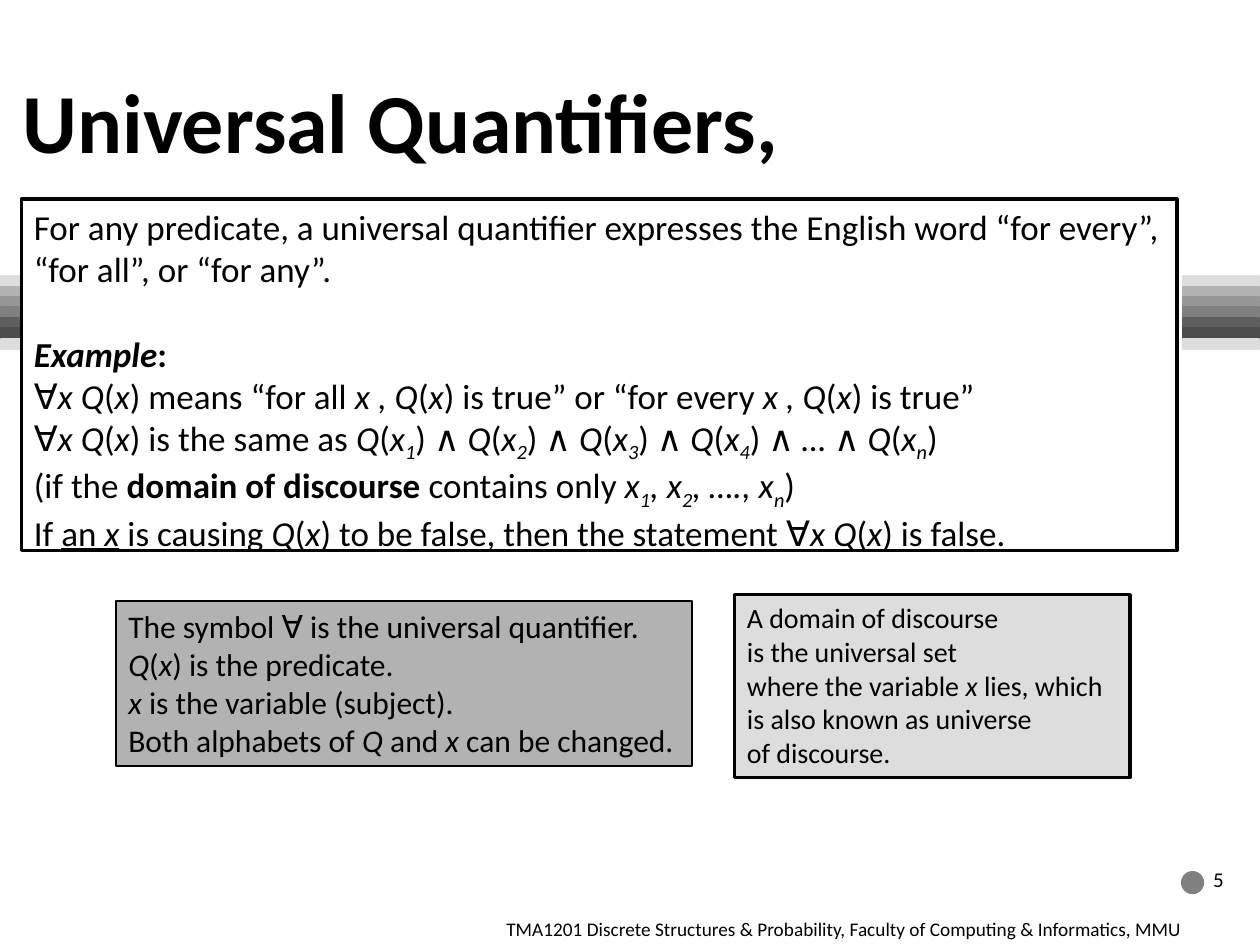
from dataclasses import dataclass

from pptx import Presentation, util as u
from pptx.dml.color import RGBColor
from pptx.enum import shapes, text

COLS, ROWS = 100, 75  # grid over the slide
WIDE, HIGH = u.Inches(10), u.Inches(7.5)


@dataclass(frozen=True)
class Theme:
    font: str = "Calibri"
    ink: str = "000000"
    pale: str = "DDDDDD"
    mid: str = "B2B2B2"
    dot: str = "808080"
    bands: tuple = ("DDDDDD", "B2B2B2", "969696", "808080",
                    "5F5F5F", "4D4D4D", "DDDDDD")
    title: int = 48
    main: int = 20
    note: int = 18
    side: int = 16
    page: int = 12
    foot: int = 11


LOOK = Theme()

# Marks: / italic, ^ bold, _ subscript, | underline
MAIN = [
    "For any predicate, a universal quantifier expresses the English word "
    "“for every”, “for all”, or “for any”.",
    "^/Example/:^",
    "∀/x Q/(/x/) means “for all /x , Q/(/x/) is true” or "
    "“for every /x , Q/(/x/) is true”",
    "∀/x Q/(/x/) is the same as "
    + "".join(f"/Q/(/x_{n}_/) ∧ " for n in range(1, 5))
    + "/… /∧/ Q/(/x_n_/)",
    "(if the ^domain of discourse ^contains only /x_1_, x_2_, …., x_n_/)",
    "If |an /x|/ is causing /Q/(/x/) to be false, then the statement "
    "∀/x Q/(/x/) is false.",
]
SIDE = [
    "A domain of discourse",
    "is the universal set",
    "where the variable /x/ lies, which",
    "is also known as universe",
    "of discourse.",
]
NOTE = [
    "The symbol ∀ is the universal quantifier.",
    "/Q/(/x/) is the predicate.",
    "/x/ is the variable (subject).",
    "Both alphabets of/ Q /and/ x /can be changed.",
]
FOOT = ["TMA1201 Discrete Structures & Probability, "
        "Faculty of Computing & Informatics, MMU"]


def spot(col, row, cols, rows):
    """Turn grid cells into left, top, width and height."""
    return (int(WIDE * col / COLS), int(HIGH * row / ROWS),
            int(WIDE * cols / COLS), int(HIGH * rows / ROWS))


def shade(hue):
    return RGBColor.from_string(hue)


def put(item, **vals):
    for name, val in vals.items():
        setattr(item, name, val)


def split(line):
    """Yield each piece of a marked line with its font values."""
    marks = {"/": "italic", "^": "bold", "_": "sub", "|": "underline"}
    state, piece = dict.fromkeys(marks.values(), False), ""
    for char in line:
        if char not in marks:
            piece += char
            continue
        if piece:
            yield piece, dict(state)
        piece = ""
        state[marks[char]] = not state[marks[char]]
    if piece:
        yield piece, state


def write(frame, lines, size, anchor=text.MSO_ANCHOR.TOP, wrap=True):
    put(frame, word_wrap=wrap, vertical_anchor=anchor,
        auto_size=text.MSO_AUTO_SIZE.NONE)
    for num, line in enumerate(lines):
        para = frame.add_paragraph() if num else frame.paragraphs[0]
        para.alignment = text.PP_ALIGN.LEFT
        for piece, vals in split(line):
            run = para.add_run()
            run.text = piece
            low = vals.pop("sub")
            put(run.font, name=LOOK.font, size=u.Pt(size), **vals)
            run.font.color.rgb = shade(LOOK.ink)
            if low:
                run.font._element.set("baseline", "-25000")


def shape(slide, at, fill, line, weight=1, kind=shapes.MSO_SHAPE.RECTANGLE):
    item = slide.shapes.add_shape(kind, *spot(*at))
    item.shadow.inherit = False
    if fill:
        item.fill.solid()
        item.fill.fore_color.rgb = shade(fill)
    else:
        item.fill.background()
    item.line.color.rgb = shade(line)
    item.line.width = u.Pt(weight)
    return item


def stripes(slide, col, cols):
    step = 0.83
    for num, hue in enumerate(LOOK.bands):
        shape(slide, (col, 21.9 + num * step, cols, step), hue, hue)


def panel(slide, at, lines, size, fill=None, weight=2):
    frame = shape(slide, at, fill, LOOK.ink, weight).text_frame
    write(frame, lines, size)
    return frame


def label(slide, at, lines, size, anchor=text.MSO_ANCHOR.TOP):
    box = slide.shapes.add_textbox(*spot(*at))
    write(box.text_frame, lines, size, anchor)


def title(slide, at, line):
    head = slide.shapes.title
    left, top, width, height = spot(*at)
    put(head, left=left, top=top, width=width, height=height)
    write(head.text_frame, [f"^{line}^"], LOOK.title, text.MSO_ANCHOR.MIDDLE)


def main():
    deck = Presentation()
    put(deck, slide_width=WIDE, slide_height=HIGH)
    slide = deck.slides.add_slide(deck.slide_layouts[5])

    stripes(slide, 0.1, 1.5)
    stripes(slide, 93.9, 6)
    shape(slide, (93.8, 69.2, 1.7, 1.7), LOOK.dot, LOOK.dot,
          kind=shapes.MSO_SHAPE.OVAL)

    title(slide, (0.8, 3.3, 90, 12.5), "Universal Quantifiers,")
    frame = panel(slide, (1.7, 15.8, 91.7, 27.9), MAIN, LOOK.main)
    frame.paragraphs[1].space_before = u.Pt(24.4)  # one line of space
    panel(slide, (58.3, 47.2, 31.4, 14.5), SIDE, LOOK.side, LOOK.pale)
    panel(slide, (9.2, 47.7, 45.7, 13.1), NOTE, LOOK.note, LOOK.mid, 1)

    label(slide, (39.2, 72.3, 60.8, 2.7), FOOT, LOOK.foot)
    label(slide, (95.3, 67.3, 4.7, 5), ["5"], LOOK.page,
          text.MSO_ANCHOR.MIDDLE)
    deck.save("out.pptx")


if __name__ == "__main__":
    main()
